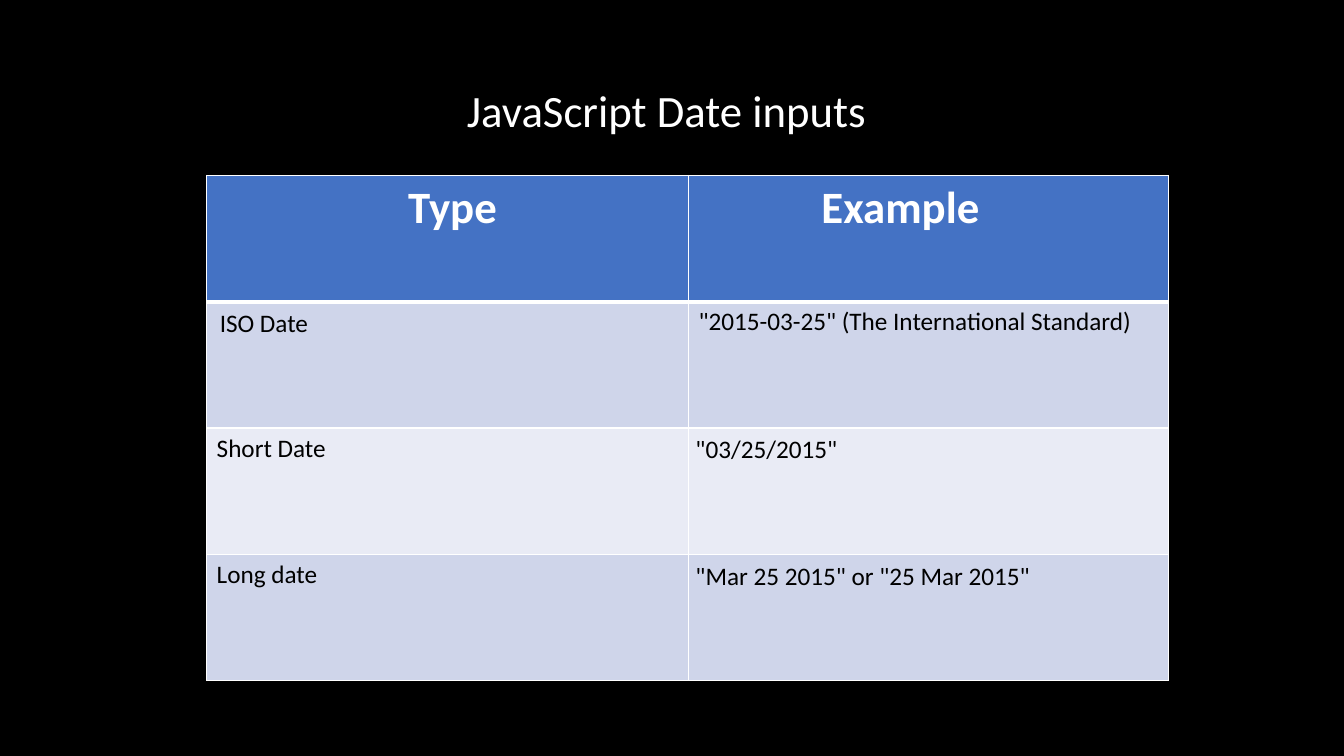
from lxml.etree import SubElement
from pptx import Presentation
from pptx.dml.color import RGBColor
from pptx.enum.text import MSO_ANCHOR, PP_ALIGN
from pptx.oxml.ns import qn
from pptx.util import Pt

# Content
TITLE = "JavaScript Date inputs"
ROWS = [
    ("Type", "Example"),
    ("ISO Date", '"2015-03-25" (The International Standard)'),
    ("Short Date", '"03/25/2015"'),
    ("Long date", '"Mar 25 2015" or "25 Mar 2015"'),
]

# Look and layout, in points
FONT = "Calibri"
BLACK, WHITE, HEADER = "000000", "FFFFFF", "4472C4"
BANDS = ("E9EBF5", "CFD5EA")
TITLE_BOX = (66, 28.8, 828, 104.4)
TITLE_INDENT = 267.5
TABLE_LEFT, TABLE_TOP = 147.6, 125.3
COLUMN_WIDTHS = (344.2, 342.7)
ROW_HEIGHT = 90.2
HEADER_INDENTS = (144, 95)
# Left and top insets of the cells that differ from the usual 7.2 and 3.6
INSETS = {(1, 0): (9.4, 5), (2, 1): (5, 5), (3, 1): (5, 5)}


def color(value):
    return RGBColor.from_string(value)


def add_text(para, text, size, ink, bold=False):
    span = para.add_run()
    span.text = text
    span.font.name = FONT
    span.font.size = Pt(size)
    span.font.bold = bold
    span.font.color.rgb = color(ink)


def add_border(cell, side, width):
    line = SubElement(cell._tc.get_or_add_tcPr(), qn("a:" + side), w=str(Pt(width)))
    fill = SubElement(line, qn("a:solidFill"))
    SubElement(fill, qn("a:srgbClr"), val=WHITE)


deck = Presentation()
deck.slide_width, deck.slide_height = Pt(960), Pt(540)
page = deck.slides.add_slide(deck.slide_layouts[5])
page.background.fill.solid()
page.background.fill.fore_color.rgb = color(BLACK)

# Title
title = page.shapes.title
title.left, title.top, title.width, title.height = map(Pt, TITLE_BOX)
frame = title.text_frame
frame.word_wrap = True
frame.vertical_anchor = MSO_ANCHOR.MIDDLE
frame.margin_left = Pt(TITLE_INDENT)
para = frame.paragraphs[0]
para.alignment = PP_ALIGN.LEFT
para.line_spacing = 0.9
add_text(para, TITLE, 32, WHITE)

# Table of date formats
table = page.shapes.add_table(
    len(ROWS), len(COLUMN_WIDTHS), Pt(TABLE_LEFT), Pt(TABLE_TOP),
    Pt(sum(COLUMN_WIDTHS)), Pt(ROW_HEIGHT * len(ROWS))).table
for column, width in zip(table.columns, COLUMN_WIDTHS):
    column.width = Pt(width)

for r, texts in enumerate(ROWS):
    table.rows[r].height = Pt(ROW_HEIGHT)
    is_header = r == 0
    for c, text in enumerate(texts):
        cell = table.cell(r, c)
        usual = (HEADER_INDENTS[c] if is_header else 7.2, 3.6)
        left, top = INSETS.get((r, c), usual)
        cell.margin_left, cell.margin_top = Pt(left), Pt(top)

        # Borders come before the fill; the rule under the header is thicker
        for side in ("lnL", "lnR", "lnT", "lnB"):
            thick = (r, side) in ((0, "lnB"), (1, "lnT"))
            add_border(cell, side, 3 if thick else 1)
        cell.fill.solid()
        cell.fill.fore_color.rgb = color(HEADER if is_header else BANDS[r % 2])

        size, ink = (32, WHITE) if is_header else (18, BLACK)
        add_text(cell.text_frame.paragraphs[0], text, size, ink, is_header)

deck.save("out.pptx")
